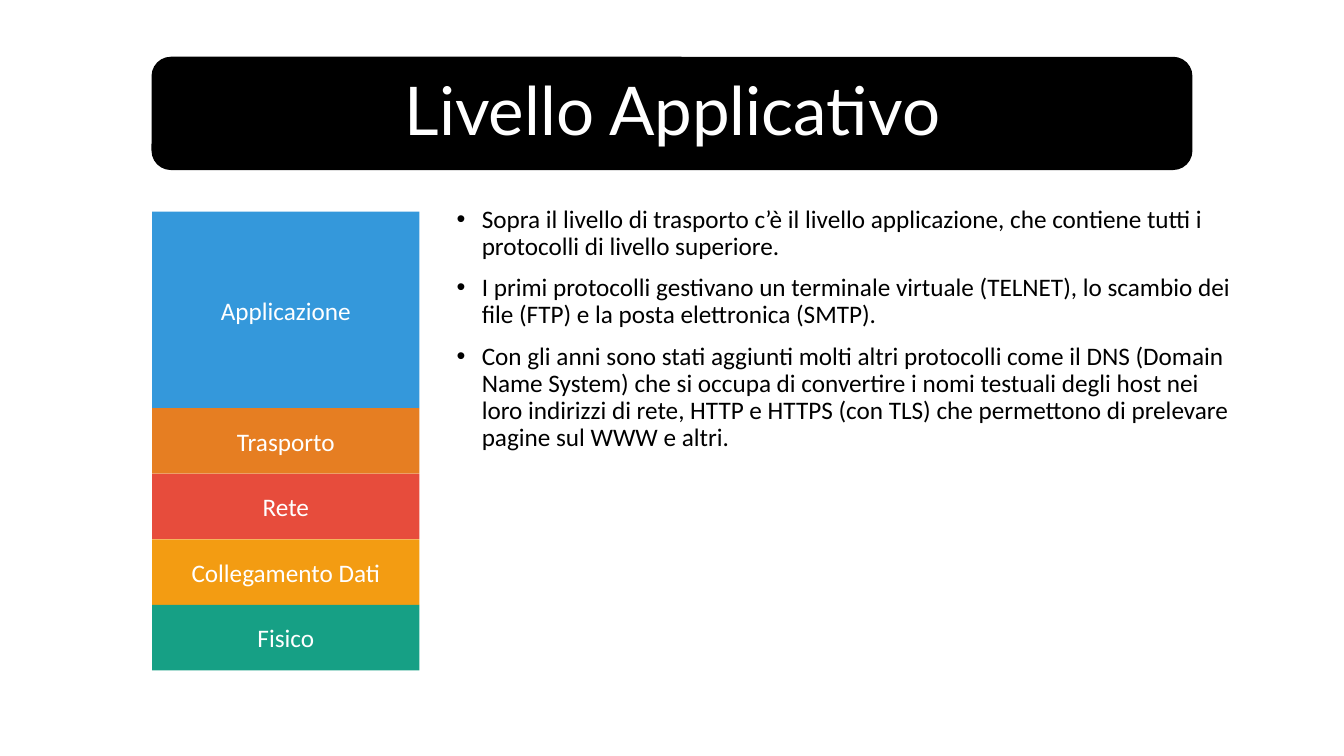
from dataclasses import dataclass

from lxml import etree
from pptx import Presentation
from pptx import util as u
from pptx.dml.color import RGBColor
from pptx.enum import shapes, text
from pptx.oxml.ns import qn


@dataclass(frozen=True)
class Theme:
    """Colours, fonts and type sizes of the slide."""
    black: str = "000000"
    white: str = "FFFFFF"
    blue: str = "3498DB"
    orange: str = "E67E22"
    red: str = "E74C3C"
    yellow: str = "F39C12"
    green: str = "16A085"
    title_font: str = "Lato"
    body_font: str = "Calibri"
    title_size: int = 48
    body_size: int = 18


THEME = Theme()
TITLE = "Livello Applicativo"
# Layer name, colour, height in units of one plain layer
LAYERS = [
    ("Applicazione", THEME.blue, 3),
    ("Trasporto", THEME.orange, 1),
    ("Rete", THEME.red, 1),
    ("Collegamento Dati", THEME.yellow, 1),
    ("Fisico", THEME.green, 1),
]
POINTS = [
    "Sopra il livello di trasporto c’è il livello applicazione, che contiene "
    "tutti i protocolli di livello superiore.",
    "I primi protocolli gestivano un terminale virtuale (TELNET), lo scambio "
    "dei file (FTP) e la posta elettronica (SMTP).",
    "Con gli anni sono stati aggiunti molti altri protocolli come il DNS "
    "(Domain Name System) che si occupa di convertire i nomi testuali degli "
    "host nei loro indirizzi di rete, HTTP e HTTPS (con TLS) che permettono "
    "di prelevare pagine sul WWW e altri.",
]


def format_text(paragraph, font, size, color):
    """Set font, size and colour of every run in a paragraph."""
    for run in paragraph.runs:
        run.font.name = font
        run.font.size = u.Pt(size)
        run.font.color.rgb = RGBColor.from_string(color)


def add_block(parent, preset, box, color):
    """Add a flat, filled shape without outline; box is in inches."""
    block = parent.add_shape(preset, *map(u.Inches, box))
    block.shadow.inherit = False
    block.fill.solid()
    block.fill.fore_color.rgb = RGBColor.from_string(color)
    block.line.fill.background()
    return block


def add_heading(slide, box):
    """Place the title over a rounded banner that fills the box."""
    left, top, width, height = box
    banner = add_block(slide.shapes, shapes.MSO_SHAPE.ROUNDED_RECTANGLE,
                       box, THEME.black)
    banner.line.color.rgb = RGBColor.from_string(THEME.black)
    banner.line.width = u.Pt(1)

    title = slide.shapes.title
    title.left, title.top = u.Inches(left - 0.59), u.Inches(top - 0.17)
    title.width, title.height = u.Inches(width + 1.19), u.Inches(height + 0.34)
    title.text_frame.text = TITLE
    title.text_frame.vertical_anchor = text.MSO_ANCHOR.MIDDLE
    heading = title.text_frame.paragraphs[0]
    heading.alignment = text.PP_ALIGN.CENTER
    heading.line_spacing = 0.9
    format_text(heading, THEME.title_font, THEME.title_size, THEME.white)
    # The banner goes behind the title
    title._element.addprevious(banner._element)


def add_layer_stack(slide, box):
    """Stack the protocol layers from top to bottom, sharing the box height."""
    left, top, width, height = box
    unit = height / sum(units for _, _, units in LAYERS)
    stack = slide.shapes.add_group_shape()
    for name, color, units in LAYERS:
        layer = add_block(stack.shapes, shapes.MSO_SHAPE.RECTANGLE,
                          (left, top, width, unit * units), color)
        layer.text_frame.text = name
        layer.text_frame.vertical_anchor = text.MSO_ANCHOR.MIDDLE
        label = layer.text_frame.paragraphs[0]
        label.alignment = text.PP_ALIGN.CENTER
        format_text(label, THEME.body_font, THEME.body_size, THEME.white)
        top += unit * units


def add_bullet(paragraph, indent):
    """Give a paragraph a round bullet with a hanging indent in inches."""
    properties = paragraph._p.get_or_add_pPr()
    properties.set("marL", str(u.Inches(indent)))
    properties.set("indent", str(-u.Inches(indent)))
    etree.SubElement(properties, qn("a:buFont")).set("typeface", "Arial")
    etree.SubElement(properties, qn("a:buChar")).set("char", "•")


def add_points(slide, box):
    """Write the bulleted explanation in the box."""
    frame = slide.shapes.add_textbox(*map(u.Inches, box)).text_frame
    frame.word_wrap = True
    frame.text = "\n".join(POINTS)
    for point in frame.paragraphs:
        point.line_spacing = 0.9
        point.space_before = u.Pt(10)
        add_bullet(point, 0.25)
        format_text(point, THEME.body_font, THEME.body_size, THEME.black)


def build_layer_slide(deck):
    """Build the slide: heading, explanation and layer stack."""
    slide = deck.slides.add_slide(deck.slide_layouts.get_by_name("Title Only"))
    add_heading(slide, (1.51, 0.57, 10.31, 1.11))
    add_points(slide, (4.43, 2, 7.98, 4.76))
    add_layer_stack(slide, (1.51, 2.1, 2.65, 4.55))


deck = Presentation()
deck.slide_width, deck.slide_height = u.Inches(13.33), u.Inches(7.5)
build_layer_slide(deck)
deck.save("out.pptx")
